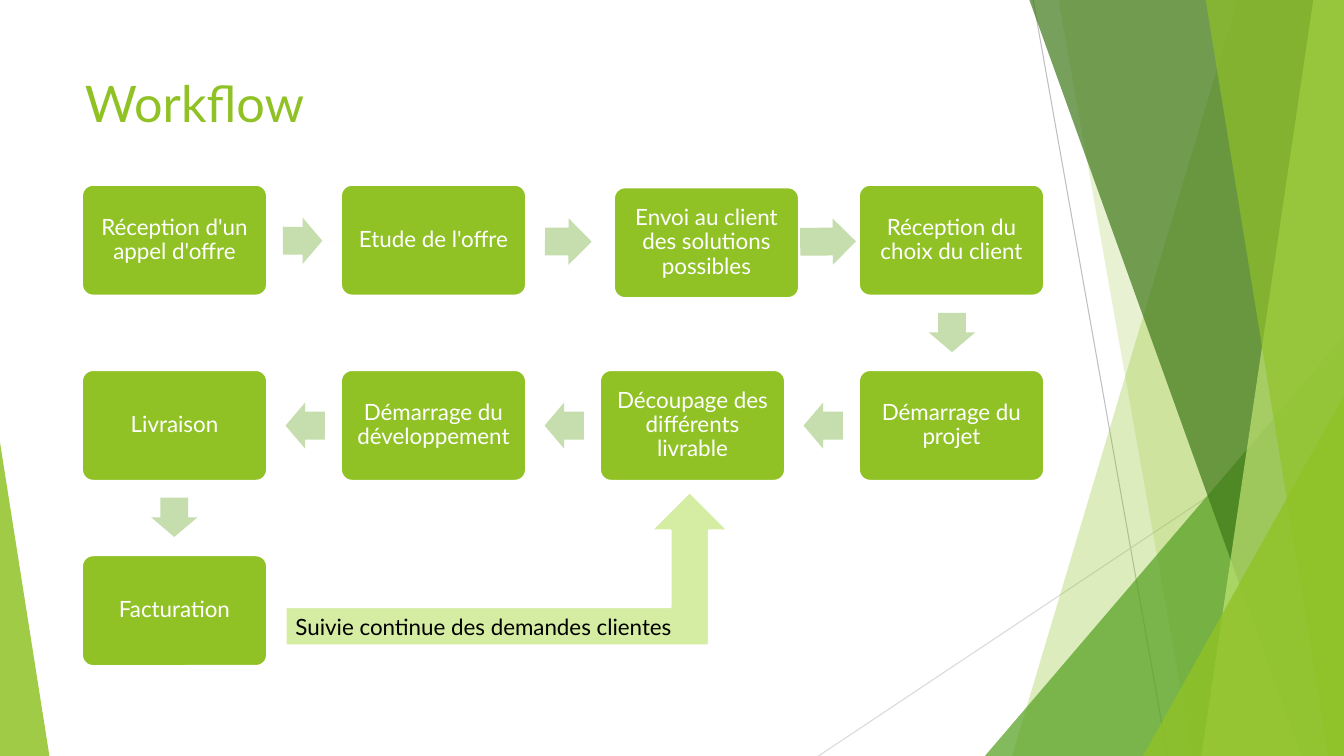
from pptx import Presentation
from pptx.dml.color import RGBColor
from pptx.enum.shapes import MSO_SHAPE as Kind, MSO_CONNECTOR as Link
from pptx.enum.text import MSO_ANCHOR as Anchor, PP_ALIGN as Align
from pptx.oxml.ns import qn
from pptx.util import Pt
from lxml.etree import SubElement as Sub


def paint(shape, fill, alpha=100, edge=None):
    shape.shadow.inherit = False
    shape.fill.solid()
    shape.fill.fore_color.rgb = RGBColor.from_string(fill)
    if alpha < 100:
        tone = shape.fill._xPr.find(qn("a:solidFill"))[0]
        Sub(tone, qn("a:alpha")).set("val", str(alpha * 1000))
    if edge:
        shape.line.color.rgb = RGBColor.from_string(edge)
        shape.line.width = Pt(1.5)
    else:
        shape.line.fill.background()


def write(shape, text, size, color, align, anchor):
    frame = shape.text_frame
    para = frame.paragraphs[0]
    para.text = text
    para.font.color.rgb = RGBColor.from_string(color)
    looks = [
        (frame, {"word_wrap": True, "vertical_anchor": anchor}),
        (para, {"alignment": align}),
        (para.font, {"name": "Lato", "size": Pt(size)}),
    ]
    for part, look in looks:
        for key, value in look.items():
            setattr(part, key, value)
    return para


W, H = 960, 540
GREEN, WHITE = "90C226", "FFFFFF"

deck = Presentation()
deck.slide_width, deck.slide_height = Pt(W), Pt(H)
slide = deck.slides.add_slide(deck.slide_layouts[6])
shapes = slide.shapes

# Thin background lines
for x1, y1, x2, y2, tint in [
    (738, 0, 834, H, "BFBFBF"),
    (W, 290, 584.6, H, "D9D9D9"),
]:
    line = shapes.add_connector(Link.STRAIGHT, Pt(x1), Pt(y1), Pt(x2), Pt(y2))
    line.line.color.rgb = RGBColor.from_string(tint)
    line.line.width = Pt(0.75)
    Sub(line._element.spPr, qn("a:effectLst"))

# Translucent facets: bands run (top x, bottom x) to the right edge,
# triangles have (left, top, width, apex)
for spot, tint, alpha in [
    ((884.2, 722.9), GREEN, 30),
    ((756, 851.8), GREEN, 20),
    ((703.5, 240, 256.5, 1), "54A021", 72),
    ((735.1, 929.5), "3F7819", 70),
    ((938.2, 858.2), "C0E474", 70),
    ((861.1, 949), GREEN, 65),
    ((816.5, 283, 143.5, 1), GREEN, 80),
    ((0, 316, 35.3, 0), GREEN, 85),
]:
    if len(spot) == 2:
        top, foot = spot
        pen = shapes.build_freeform(Pt(top), Pt(-0.6))
        pen.add_line_segments(
            [(Pt(W), Pt(-0.6)), (Pt(W), Pt(H)), (Pt(foot), Pt(H))])
        facet = pen.convert_to_shape()
    else:
        x, y, wide, apex = spot
        facet = shapes.add_shape(
            Kind.ISOSCELES_TRIANGLE, Pt(x), Pt(y), Pt(wide), Pt(H - y))
        facet.adjustments[0] = apex
    paint(facet, tint, alpha)

# Title
title = shapes.add_textbox(Pt(53.5), Pt(48.2), Pt(676.8), Pt(104))
write(title, "Workflow", 36, GREEN, Align.LEFT, Anchor.TOP)

# Steps, by column and row, with a nudge (dx, dy)
LEFT, TOP, DX, DY = 58.5, 132, 185, 132.3
BOX_W, BOX_H = 132.3, 79.2
for col, row, dx, dy, text in [
    (0, 0, 0, 0, "Réception d'un appel d'offre"),
    (1, 0, 0, 0, "Etude de l'offre"),
    (2, 0, 10, 1.8, "Envoi au client des solutions possibles"),
    (3, 0, 0, 0, "Réception du choix du client"),
    (3, 1, 0, 0, "Démarrage du projet"),
    (2, 1, 0, 0, "Découpage des différents livrable"),
    (1, 1, 0, 0, "Démarrage du développement"),
    (0, 1, 0, 0, "Livraison"),
    (0, 2, 0, 0, "Facturation"),
]:
    step = shapes.add_shape(
        Kind.ROUNDED_RECTANGLE, Pt(LEFT + col * DX + dx),
        Pt(TOP + row * DY + dy), Pt(BOX_W), Pt(BOX_H))
    step.adjustments[0] = 0.1
    paint(step, GREEN, edge=WHITE)
    para = write(step, text, 16, WHITE, Align.CENTER, Anchor.MIDDLE)
    para.line_spacing = 0.9

# Arrows between steps: centre, length, turn
TALL = 33.1
for x, y, size, turn in [
    (216.2, 172, 28.1, 0),
    (406, 172.6, 33.4, 0.4),
    (591.5, 172.6, 39.8, 359.5),
    (680, 237.5, 28.1, 90),
    *[(588 - i * DX, 304, 28.1, 180) for i in range(3)],
    (124.5, 369.5, 28.1, 90),
]:
    arrow = shapes.add_shape(
        Kind.RIGHT_ARROW, Pt(x - size / 2), Pt(y - TALL / 2),
        Pt(size), Pt(TALL))
    arrow.adjustments[0], arrow.adjustments[1] = 0.6, 0.5
    arrow.rotation = turn
    paint(arrow, "C6DDAD")

# Feedback arrow
loop = shapes.add_shape(
    Kind.BENT_UP_ARROW, Pt(204), Pt(351.5), Pt(316), Pt(109.5))
paint(loop, "D5EDA2", edge=WHITE)
write(loop, "Suivie continue des demandes clientes", 16, "000000",
      Align.LEFT, Anchor.MIDDLE)

deck.save("out.pptx")
